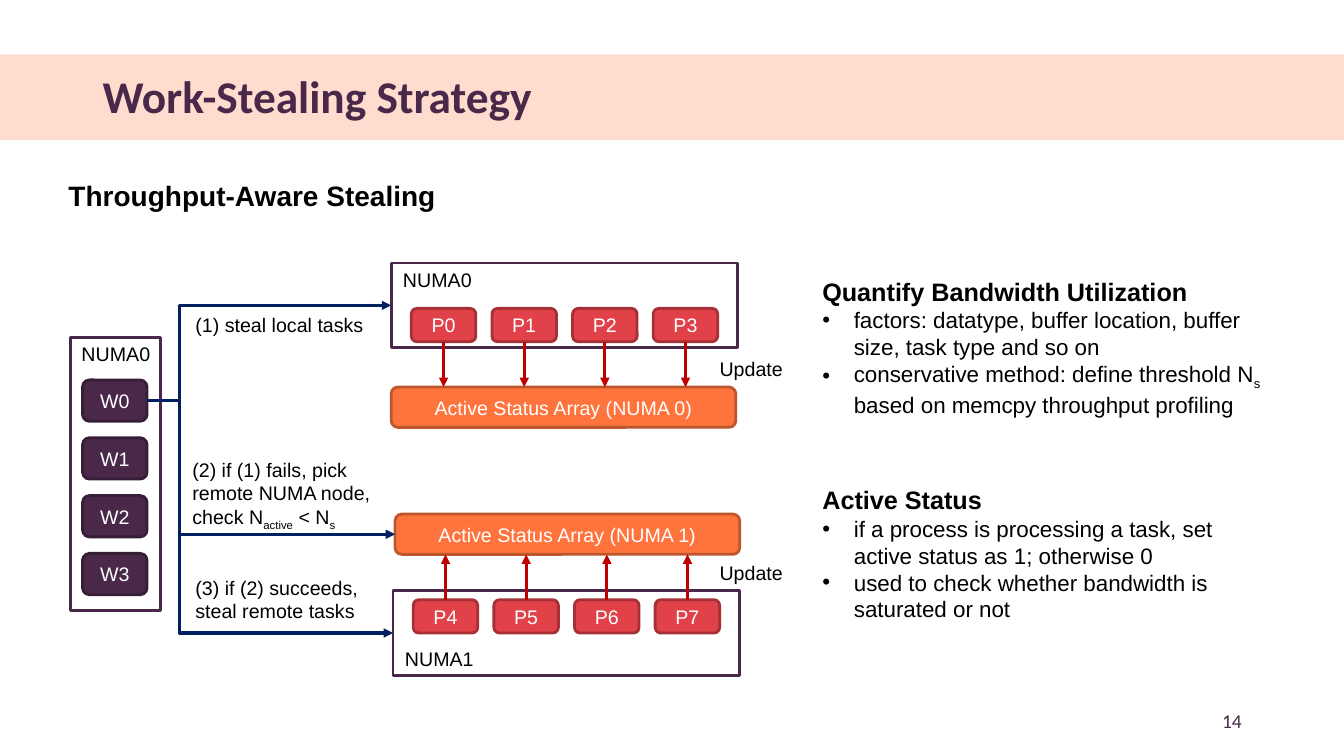
from dataclasses import dataclass

from lxml import etree
from pptx import Presentation
from pptx import util as u
from pptx.dml.color import RGBColor
from pptx.enum import shapes, text
from pptx.oxml.ns import qn

TOP, LEFT, BOTTOM, RIGHT = range(4)


@dataclass(frozen=True)
class Theme:
    # Colours
    ink: str = "000000"
    white: str = "FFFFFF"
    band: str = "FF9164"
    plum: str = "492849"
    plum_edge: str = "361E36"
    red: str = "E14149"
    red_edge: str = "A63036"
    orange: str = "FF743C"
    orange_edge: str = "BD562C"
    update: str = "C00000"
    steal: str = "002060"
    # Type
    heading_font: str = "Calibri"
    body_font: str = "Arial"
    title: float = 32.4
    subtitle: float = 20
    heading: float = 18
    body: float = 16
    label: float = 14


class SlideBuilder:
    def __init__(self, slide, theme):
        self.slide = slide
        self.theme = theme

    def set_text(self, paragraph, content, size, color, bold=False, font=None):
        """Fill a paragraph; every second piece between bars is a subscript."""
        pieces = content.split("|")
        paragraph.text = pieces[0]
        for piece in pieces[1:]:
            paragraph.add_run().text = piece
        for index, run in enumerate(paragraph.runs):
            run.font.name = font or self.theme.body_font
            run.font.size = u.Pt(size)
            run.font.bold = bold
            run.font.color.rgb = RGBColor.from_string(color)
            if index % 2:
                run.font._element.set("baseline", "-25000")

    def box(self, left, top, width, height, fill, edge=None, label="", rounded=False):
        kind = shapes.MSO_SHAPE.ROUNDED_RECTANGLE if rounded else shapes.MSO_SHAPE.RECTANGLE
        shape = self.slide.shapes.add_shape(
            kind, u.Pt(left), u.Pt(top), u.Pt(width), u.Pt(height))
        shape.shadow.inherit = False
        shape.fill.solid()
        shape.fill.fore_color.rgb = RGBColor.from_string(fill)
        if edge:
            shape.line.color.rgb = RGBColor.from_string(edge)
            shape.line.width = u.Pt(2)
        else:
            shape.line.fill.background()
        if label:
            shape.text_frame.vertical_anchor = text.MSO_ANCHOR.MIDDLE
            paragraph = shape.text_frame.paragraphs[0]
            paragraph.alignment = text.PP_ALIGN.CENTER
            self.set_text(paragraph, label, self.theme.label, self.theme.white)
        return shape

    def text_box(self, left, top, width, height, content, size=None, color=None,
                 bold=False, font=None, middle=False):
        shape = self.slide.shapes.add_textbox(
            u.Pt(left), u.Pt(top), u.Pt(width), u.Pt(height))
        frame = shape.text_frame
        frame.word_wrap = True
        if middle:
            frame.vertical_anchor = text.MSO_ANCHOR.MIDDLE
        self.set_text(frame.paragraphs[0], content, size or self.theme.label,
                      color or self.theme.ink, bold, font)
        return frame

    def bullet_list(self, left, top, width, height, heading, items):
        frame = self.text_box(left, top, width, height, heading,
                              self.theme.heading, bold=True)
        for item in items:
            paragraph = frame.add_paragraph()
            properties = paragraph._p.get_or_add_pPr()
            properties.set("marL", str(u.Pt(22.5)))
            properties.set("indent", str(u.Pt(-22.5)))
            etree.SubElement(properties, qn("a:buFont")).set("typeface", "Arial")
            etree.SubElement(properties, qn("a:buChar")).set("char", "•")
            self.set_text(paragraph, item, self.theme.body, self.theme.ink)

    def arrow(self, kind, start, end, color):
        connector = self.slide.shapes.add_connector(
            kind, *(u.Pt(value) for value in start + end))
        connector.line.color.rgb = RGBColor.from_string(color)
        connector.line.width = u.Pt(2.25)
        line = next(connector.element.iter(qn("a:ln")))
        etree.SubElement(line, qn("a:tailEnd")).set("type", "triangle")
        etree.SubElement(connector.element.spPr, qn("a:effectLst"))
        return connector

    def update_arrow(self, process, side, array_edge):
        x = process.left.pt + process.width.pt / 2
        y = process.top.pt + (process.height.pt if side == BOTTOM else 0)
        connector = self.arrow(shapes.MSO_CONNECTOR.STRAIGHT, (x, y), (x, array_edge),
                               self.theme.update)
        connector.begin_connect(process, side)

    def steal_arrow(self, worker, target, bend):
        """Elbow from a worker to a target, turning at the given x."""
        start = (worker.left.pt + worker.width.pt, worker.top.pt + worker.height.pt / 2)
        end = (target.left.pt, target.top.pt + target.height.pt / 2)
        connector = self.arrow(shapes.MSO_CONNECTOR.ELBOW, start, end, self.theme.steal)
        connector.begin_connect(worker, RIGHT)
        connector.end_connect(target, LEFT)
        ratio = (bend - start[0]) / (end[0] - start[0])
        guide = etree.SubElement(next(connector.element.iter(qn("a:avLst"))), qn("a:gd"))
        guide.set("name", "adj1")
        guide.set("fmla", f"val {round(ratio * 100000)}")

    def numa_node(self, number, left, top, label_top, process_top,
                  array_left, array_top, update_top):
        theme = self.theme
        node = self.box(left, top, 247.7, 60.5, theme.white, theme.plum)
        self.text_box(left + 1.4, label_top, 72, 24.5, f"NUMA{number}")
        array = self.box(array_left, array_top, 246.2, 28.8, theme.orange,
                         theme.orange_edge, f"Active Status Array (NUMA {number})", True)
        array_below = array_top > top
        side = BOTTOM if array_below else TOP
        edge = array_top if array_below else array_top + 28.8
        for index in range(4):
            process = self.box(left + 14.4 + index * 57.6, process_top, 46.1, 23.8,
                               theme.red, theme.red_edge, f"P{number * 4 + index}", True)
            self.update_arrow(process, side, edge)
        self.text_box(506.9, update_top, 74.2, 24.5, "Update")
        return node, array


def main():
    presentation = Presentation()
    presentation.slide_width, presentation.slide_height = u.Pt(960), u.Pt(540)
    theme = Theme()
    builder = SlideBuilder(
        presentation.slides.add_slide(presentation.slide_layouts[6]), theme)

    # Title band and headings
    band = builder.box(0, 38.9, 960, 61.2, theme.band)
    band_color = next(band.element.spPr.iter(qn("a:srgbClr")))
    etree.SubElement(band_color, qn("a:alpha")).set("val", "31000")
    title = builder.text_box(66.2, 51.8, 828, 37.4, "Work-Stealing Strategy",
                             theme.title, theme.plum, True, theme.heading_font, True)
    title.paragraphs[0].line_spacing = 0.9
    builder.text_box(41.8, 123.8, 483.8, 31.7, "Throughput-Aware Stealing",
                     theme.subtitle, bold=True)

    # Workers
    builder.box(50.4, 241.2, 64.1, 195.1, theme.white, theme.plum)
    builder.text_box(51.1, 240.5, 64.1, 27.4, "NUMA0")
    workers = [builder.box(59, 271.4 + index * 41.3, 46.1, 29.5, theme.plum,
                           theme.plum_edge, f"W{index}", True) for index in range(4)]

    # NUMA nodes with their status arrays
    local_node, _ = builder.numa_node(0, 279.4, 187.9, 187.9, 220.3, 279.4, 276.5, 251.3)
    remote_node, remote_array = builder.numa_node(
        1, 280.8, 421.9, 458.6, 428.4, 282.2, 367.2, 397.4)

    # Stealing steps
    for target in (local_node, remote_array, remote_node):
        builder.steal_arrow(workers[0], target, 128.2)
    for left, top, height, step in (
            (132.5, 220.3, 24.5, "(1) steal local tasks"),
            (130.3, 323.3, 58.3, "(2) if (1) fails, pick remote NUMA node, "
                                 "check N|active| < N|s"),
            (132.5, 407.5, 41, "(3) if (2) succeeds, steal remote tasks")):
        builder.text_box(left, top, 149, height, step)

    # Explanations
    builder.bullet_list(580.3, 193.7, 328.3, 126, "Quantify Bandwidth Utilization", (
        "factors: datatype, buffer location, buffer size, task type and so on",
        "conservative method: define threshold N|s| based on memcpy throughput profiling"))
    builder.bullet_list(580.3, 342.7, 331.9, 106.6, "Active Status", (
        "if a process is processing a task, set active status as 1; otherwise 0",
        "used to check whether bandwidth is saturated or not"))

    # Slide number
    number = builder.text_box(678.2, 500.4, 216, 28.8, "14", color=theme.plum,
                              font=theme.heading_font, middle=True)
    number.paragraphs[0].alignment = text.PP_ALIGN.RIGHT

    presentation.save("out.pptx")


if __name__ == "__main__":
    main()
